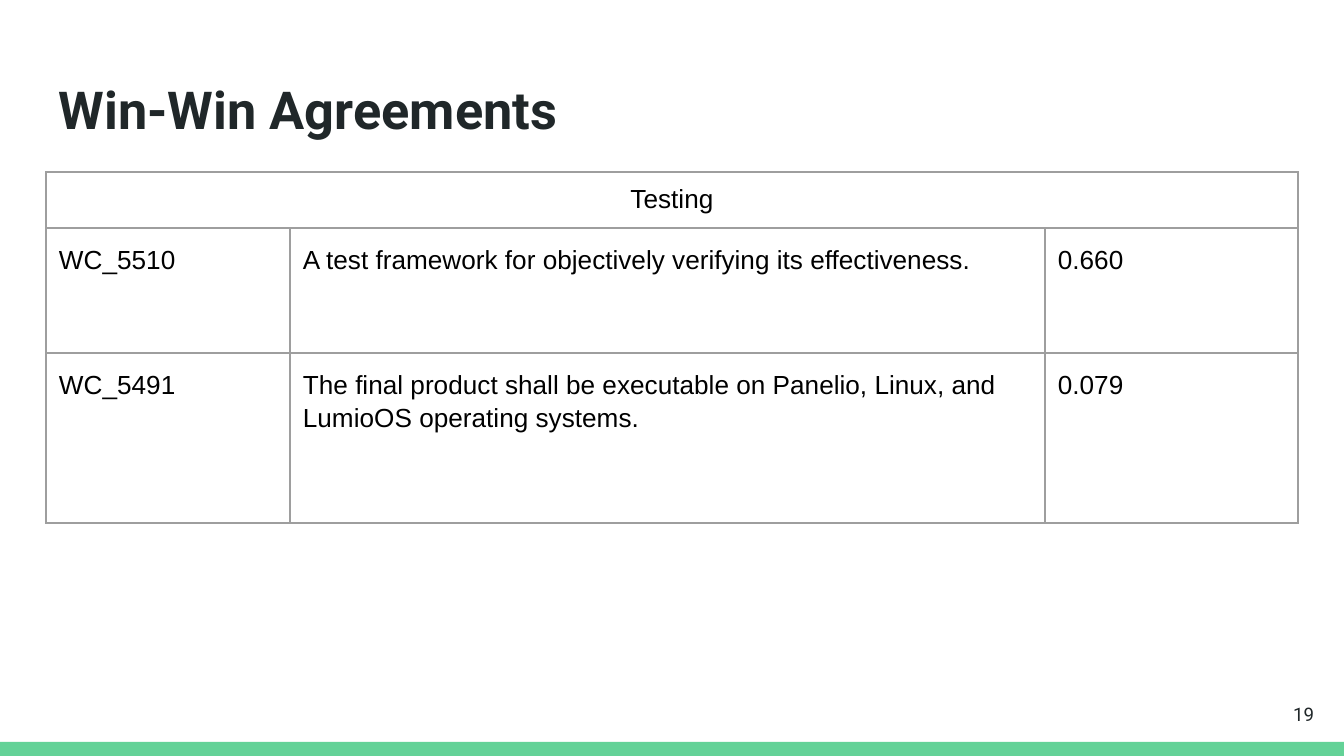
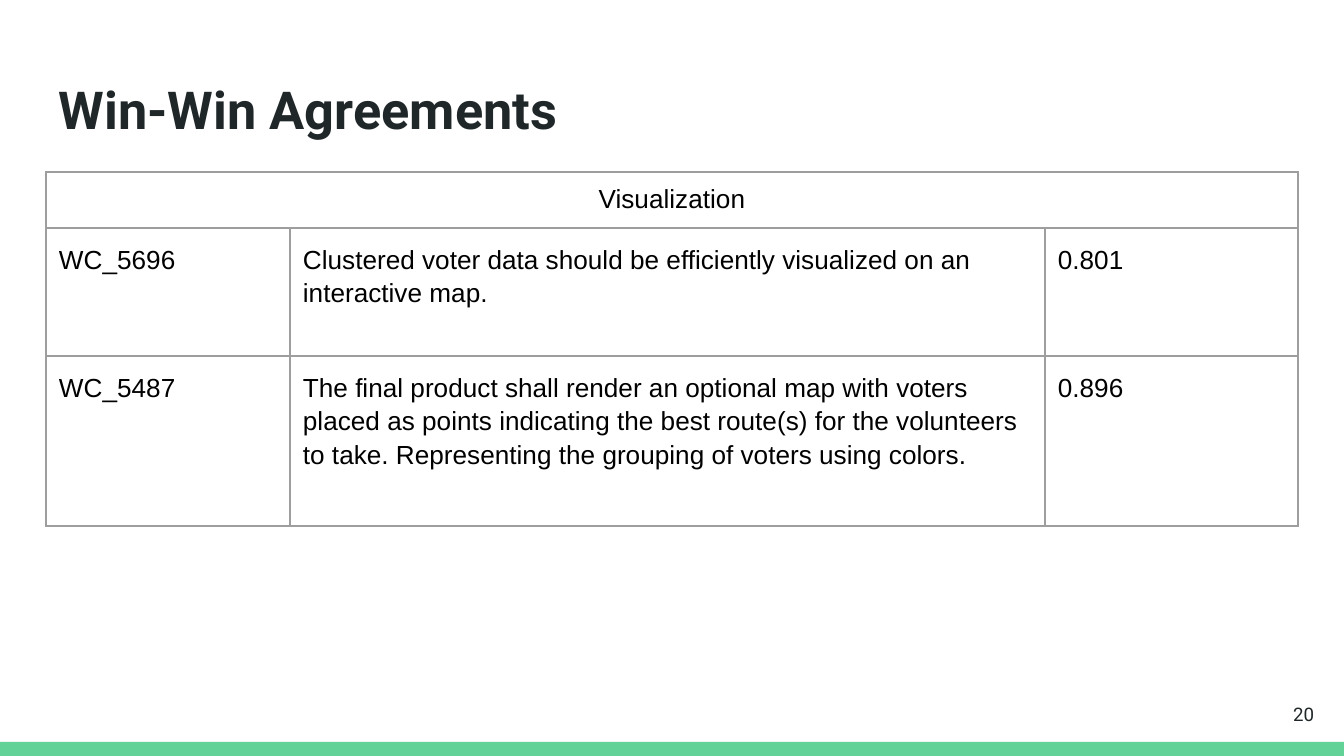
"""Builds the two Win-Win Agreements slides."""
from lxml.etree import SubElement as Sub
from pptx import Presentation
from pptx.dml.color import RGBColor
from pptx.enum.shapes import MSO_SHAPE as Kind
from pptx.enum.text import MSO_ANCHOR as Anchor, MSO_AUTO_SIZE as Auto, PP_ALIGN as Align
from pptx.oxml.ns import qn
from pptx.util import Pt

TITLE = "Win-Win Agreements"
PAGES = [
    {"page": 19, "topic": "Testing", "rows": [
        ("WC_5510", "A test framework for objectively verifying its effectiveness.", "0.660"),
        ("WC_5491", "The final product shall be executable on Panelio, Linux, and "
                    "LumioOS operating systems.", "0.079")],
     "heights": [56, 125, 170]},
    {"page": 20, "topic": "Visualization", "rows": [
        ("WC_5696", "Clustered voter data should be efficiently visualized on an "
                    "interactive map.", "0.801"),
        ("WC_5487", "The final product shall render an optional map with voters placed "
                    "as points indicating the best route(s) for the volunteers to take. "
                    "Representing the grouping of voters using colors.", "0.896")],
     "heights": [56, 128, 170]},
]
WIDE, HIGH = 1344, 756
LEFT, TOP, PAD = 46, 172, 13
COLS = [244, 755, 253]
GREEN, INK, BLACK, GRAY = "63D297", "202729", "000000", "9E9E9E"
SIDES = ("a:lnL", "a:lnR", "a:lnT", "a:lnB")


def px(size):
    return round(size * 914400 / 134.4)


def tint(code):
    return RGBColor.from_string(code)


def style(para, font, size, color, bold=False, align=Align.LEFT):
    para.alignment = align
    for run in para.runs:
        face = run.font
        face.name, face.size, face.bold = font, Pt(size), bold
        face.color.rgb = tint(color)


def pad(part):
    part.margin_left = part.margin_right = px(PAD)
    part.margin_top = part.margin_bottom = px(PAD)


def fit(frame, anchor):
    frame.word_wrap, frame.auto_size = True, Auto.NONE
    frame.vertical_anchor = anchor
    pad(frame)


def add_frame(slide, page):
    band = slide.shapes.add_shape(Kind.RECTANGLE, 0, px(742), px(WIDE), px(HIGH - 742))
    band.shadow.inherit = False
    band.fill.solid()
    band.fill.fore_color.rgb = tint(GREEN)
    band.line.fill.background()

    title = slide.shapes.title
    title.left, title.top = px(LEFT), px(64)
    title.width, title.height = px(1252), px(85)
    title.text_frame.text = TITLE
    fit(title.text_frame, Anchor.TOP)
    style(title.text_frame.paragraphs[0], "Roboto", 28, INK, True)

    box = slide.shapes.add_textbox(px(1246), px(685), px(81), px(58))
    box.text_frame.text = str(page)
    fit(box.text_frame, Anchor.MIDDLE)
    style(box.text_frame.paragraphs[0], "Roboto", 10, INK, align=Align.RIGHT)


def edge(cell):
    props = cell._tc.get_or_add_tcPr()
    for side in SIDES:
        line = Sub(props, qn(side), w=str(Pt(0.75)))
        fill = Sub(line, qn("a:solidFill"))
        Sub(fill, qn("a:srgbClr"), val=GRAY)
    cell.fill.background()


def add_grid(slide, topic, rows, heights):
    grid = slide.shapes.add_table(len(heights), len(COLS), px(LEFT), px(TOP),
                                  px(sum(COLS)), px(sum(heights))).table
    grid.first_row = grid.horz_banding = False
    for col, width in zip(grid.columns, COLS):
        col.width = px(width)
    for row, height in zip(grid.rows, heights):
        row.height = px(height)
    grid.cell(0, 0).merge(grid.cell(0, len(COLS) - 1))
    for r, texts in enumerate([(topic, "", ""), *rows]):
        for c, text in enumerate(texts):
            cell = grid.cell(r, c)
            cell.text_frame.text = text
            pad(cell)
            edge(cell)
            para = cell.text_frame.paragraphs[0]
            para.font.size = Pt(14)
            style(para, "Arial", 14, BLACK, align=Align.LEFT if r else Align.CENTER)
            if r:
                para.line_spacing = 1.15


def main():
    deck = Presentation()
    deck.slide_width, deck.slide_height = px(WIDE), px(HIGH)
    for item in PAGES:
        slide = deck.slides.add_slide(deck.slide_layouts[5])
        add_frame(slide, item["page"])
        add_grid(slide, item["topic"], item["rows"], item["heights"])
    deck.save("out.pptx")


if __name__ == "__main__":
    main()
